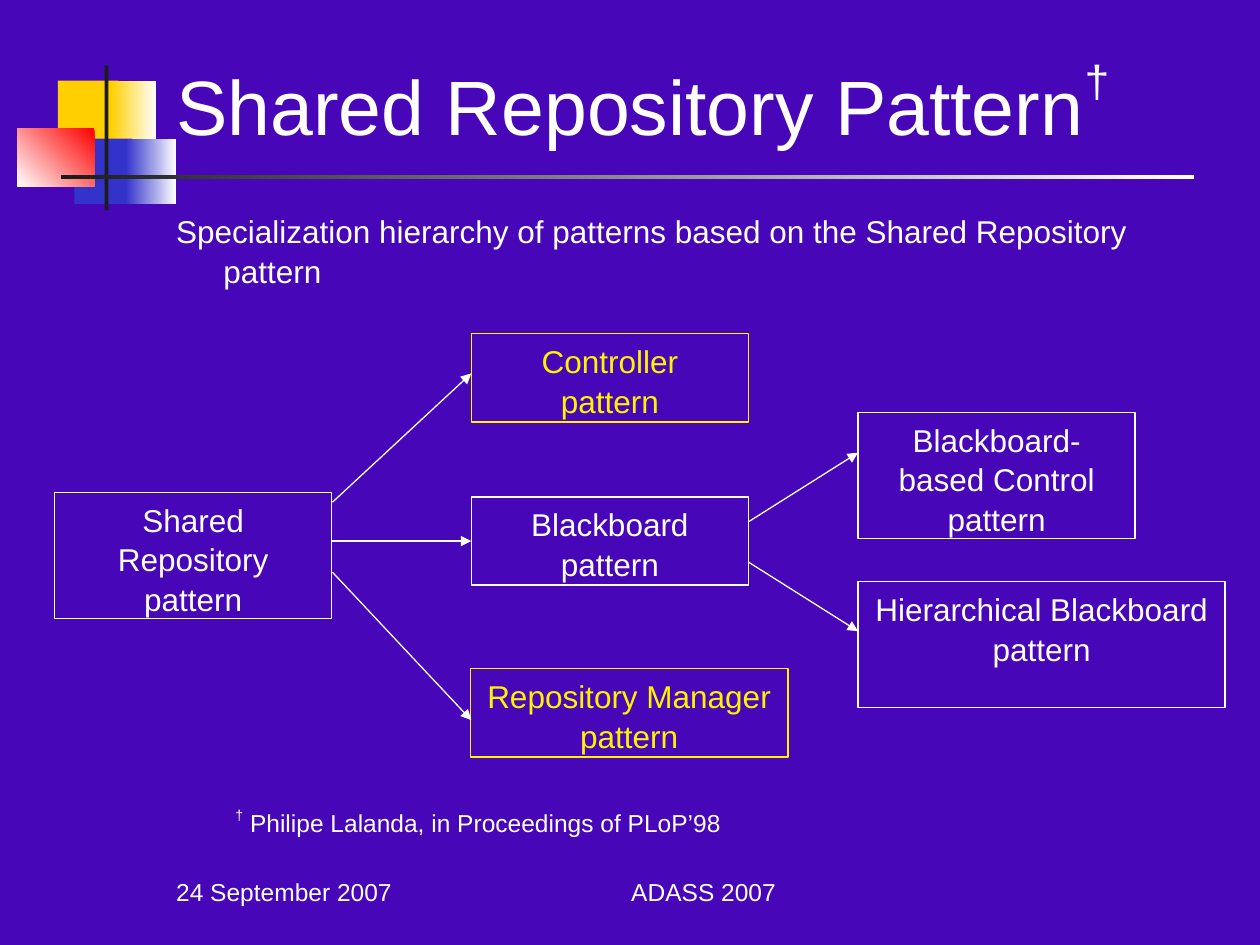
from typing import NamedTuple, Optional

from lxml.etree import SubElement
from pptx import Presentation
from pptx.dml.color import RGBColor
from pptx.enum.shapes import MSO_CONNECTOR as Line, MSO_SHAPE as Kind
from pptx.enum.text import MSO_ANCHOR as Anchor, MSO_AUTO_SIZE as Fit, PP_ALIGN as Align
from pptx.oxml.ns import qn
from pptx.util import Pt

WHITE, YELLOW, DARK = "FFFFFF", "FFF300", "1C1C1C"
GOLD, BLUE, RED = "FFCF01", "3333CC", "FF0000"
WIDE, LOW, HIGH = 158.4, 50.4, 72


class Block(NamedTuple):
    left: float
    top: float
    width: float
    height: float
    start: str
    end: Optional[str] = None
    angle: float = 180


class Box(NamedTuple):
    text: str
    left: float
    top: float
    width: float
    height: float
    color: str = WHITE


class Arrow(NamedTuple):
    x1: float
    y1: float
    x2: float
    y2: float
    goal: Optional[str] = None


BLOCKS = [
    Block(33.1, 46.1, 34.6, 37.4, GOLD),
    Block(63.4, 46.1, 25.9, 37.4, WHITE, GOLD),
    Block(42.5, 79.2, 33.1, 37.4, BLUE),
    Block(72, 79.2, 28.8, 37.4, WHITE, BLUE),
    Block(10, 73.4, 44, 33.1, RED, WHITE, 225),
    Block(59.8, 37.4, 2.2, 82.8, DARK),
    Block(34.6, 100.1, 648, 2.2, WHITE, DARK),
]
BOXES = [
    Box("Shared Repository pattern", 31.2, 281.5, WIDE, HIGH),
    Box("Controller\npattern", 269.3, 190.8, WIDE, LOW, YELLOW),
    Box("Repository Manager pattern", 268.7, 382.2, 181.6, LOW, YELLOW),
    Box("Blackboard-based Control pattern", 490.3, 235.7, WIDE, HIGH),
    Box("Hierarchical Blackboard\npattern", 490.3, 332.5, 209.8, HIGH),
    Box("Blackboard pattern", 269.3, 284, WIDE, LOW),
]
ARROWS = [
    Arrow(190, 309.2, 269.3, 309.2, "Blackboard pattern"),
    Arrow(190, 287, 269.3, 213.4),
    Arrow(190, 327, 269.3, 411.5),
    Arrow(427.7, 321.2, 490.3, 360.7),
    Arrow(427.7, 298.2, 490.3, 258.7),
]


def rgb(code: str) -> RGBColor:
    return RGBColor.from_string(code)


def write(shape, text: str, size: float = 18, color: str = WHITE,
          align=Align.LEFT, anchor=Anchor.TOP, gap: Optional[float] = None,
          indent: float = 0) -> None:
    frame = shape.text_frame
    frame.word_wrap, frame.auto_size = True, Fit.NONE
    frame.vertical_anchor = anchor
    frame.margin_left = frame.margin_right = Pt(7.2)
    frame.margin_top = frame.margin_bottom = Pt(3.6)
    para = frame.paragraphs[0]
    para.alignment = align
    if gap:
        para.line_spacing = gap
    if indent:
        props = para._p.get_or_add_pPr()
        props.set("marL", str(Pt(indent)))
        props.set("indent", str(Pt(-indent)))
    for row, line in enumerate(text.split("\n")):
        if row:
            para.add_line_break()
        for part in line.replace("†", "|†|").split("|"):
            if part:
                run = para.add_run()
                run.text = part
                run.font.size, run.font.name = Pt(size), "Arial"
                run.font.color.rgb = rgb(color)
                if part == "†":
                    run.font._element.set("baseline", "50000")


def add_rect(slide, left: float, top: float, width: float, height: float):
    shape = slide.shapes.add_shape(
        Kind.RECTANGLE, Pt(left), Pt(top), Pt(width), Pt(height))
    shape.shadow.inherit = False
    return shape


def add_block(slide, block: Block) -> None:
    shape = add_rect(slide, *block[:4])
    shape.line.fill.background()
    fill = shape.fill
    if block.end is None:
        fill.solid()
        fill.fore_color.rgb = rgb(block.start)
        return
    fill.gradient()
    fill.gradient_angle = block.angle
    for stop, code, place in zip(fill.gradient_stops, (block.start, block.end), (0, 1)):
        stop.color.rgb, stop.position = rgb(code), place


def add_box(slide, box: Box):
    shape = add_rect(slide, *box[1:5])
    shape.fill.background()
    shape.line.color.rgb, shape.line.width = rgb(box.color), Pt(0.75)
    write(shape, box.text, color=box.color, align=Align.CENTER, gap=1.05)
    return shape


def add_arrow(slide, arrow: Arrow, drawn: dict) -> None:
    link = slide.shapes.add_connector(Line.STRAIGHT, *map(Pt, arrow[:4]))
    if arrow.goal:
        link.end_connect(drawn[arrow.goal], 1)
    link.line.color.rgb, link.line.width = rgb(WHITE), Pt(0.75)
    SubElement(link.line._get_or_add_ln(), qn("a:tailEnd"), type="triangle")
    SubElement(link._element.spPr, qn("a:effectLst"))


def add_text(slide, text: str, left: float, top: float, width: float,
             height: float, **style) -> None:
    shape = slide.shapes.add_textbox(Pt(left), Pt(top), Pt(width), Pt(height))
    write(shape, text, **style)


def main() -> None:
    deck = Presentation()
    deck.slide_width, deck.slide_height = Pt(720), Pt(540)
    slide = deck.slides.add_slide(deck.slide_layouts[5])
    slide.background.fill.solid()
    slide.background.fill.fore_color.rgb = rgb("4706B8")
    for block in BLOCKS:
        add_block(slide, block)
    title = slide.shapes.title
    title.left, title.top, title.width, title.height = map(Pt, (93.6, 20.2, 612.7, 69.8))
    write(title, "Shared Repository Pattern†", size=44, anchor=Anchor.BOTTOM)
    add_text(slide, "Specialization hierarchy of patterns based on the Shared Repository pattern",
             93.6, 116.6, 612, 355, gap=1.05, indent=27)
    drawn = {box.text: add_box(slide, box) for box in BOXES}
    for arrow in ARROWS:
        add_arrow(slide, arrow, drawn)
    add_text(slide, "† Philipe Lalanda, in Proceedings of PLoP’98",
             127.4, 457.2, 561.6, 25.2, size=14)
    add_text(slide, "ADASS 2007", 288, 491.8, 228.2, 36,
             size=14, align=Align.CENTER, anchor=Anchor.MIDDLE)
    add_text(slide, "24 September 2007", 93.6, 491.8, 148.3, 36,
             size=14, anchor=Anchor.MIDDLE)
    deck.save("out.pptx")


if __name__ == "__main__":
    main()
